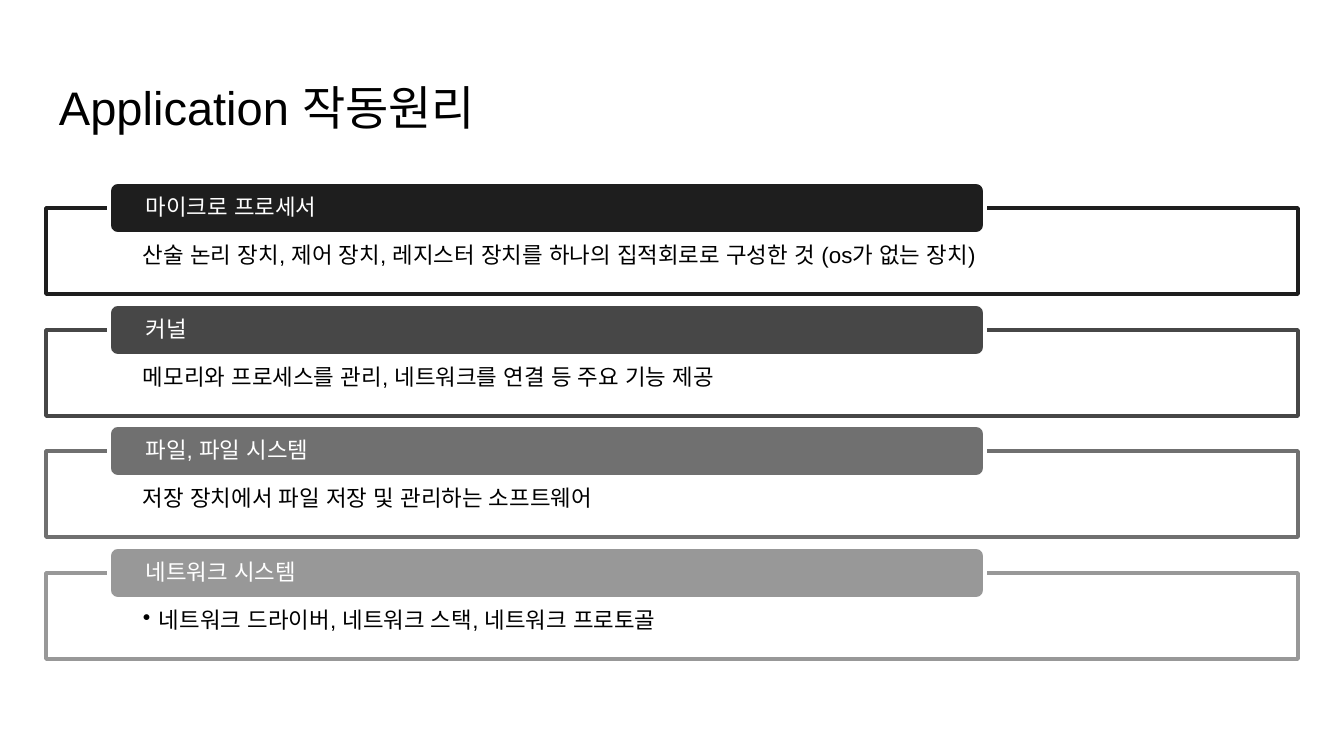
from dataclasses import dataclass

from lxml.etree import SubElement
from pptx import Presentation
from pptx.dml.color import RGBColor
from pptx.enum.shapes import MSO_SHAPE
from pptx.enum.text import MSO_ANCHOR, PP_ALIGN
from pptx.oxml.ns import qn
from pptx.shapes.autoshape import Shape
from pptx.slide import Slide
from pptx.util import Emu, Pt

EMU_PER_PX = 914400 / 134.4


@dataclass(frozen=True)
class Theme:
    font: str = "Arial"
    white: str = "FFFFFF"
    black: str = "000000"
    title_size: float = 25.2
    body_size: float = 12
    line_width: float = 2
    line_spacing: float = 0.9
    frame_opacity: int = 90


@dataclass(frozen=True)
class Box:
    left: int
    top: int
    width: int
    height: int


@dataclass(frozen=True)
class Section:
    heading: str
    detail: str
    color: str
    bulleted: bool = False


THEME = Theme()
TITLE_BOX = Box(46, 66, 1252, 84)
FIRST_FRAME_TOP = 208
LAST_FRAME_TOP = 573
TAB_RISE = 26
BULLET_INDENT = 16
SECTIONS = [
    Section("마이크로 프로세서",
            "산술 논리 장치, 제어 장치, 레지스터 장치를 하나의 집적회로로 구성한 것 (os가 없는 장치)",
            "1E1E1E"),
    Section("커널", "메모리와 프로세스를 관리, 네트워크를 연결 등 주요 기능 제공", "474747"),
    Section("파일, 파일 시스템", "저장 장치에서 파일 저장 및 관리하는 소프트웨어", "707070"),
    Section("네트워크 시스템", "네트워크 드라이버, 네트워크 스택, 네트워크 프로토골",
            "989898", bulleted=True),
]


def px(length: int) -> Emu:
    return Emu(round(length * EMU_PER_PX))


def place(box: Box) -> tuple[Emu, Emu, Emu, Emu]:
    return px(box.left), px(box.top), px(box.width), px(box.height)


def write_text(shape: Shape, text: str, size: float, color: str,
               anchor: MSO_ANCHOR, side: int, top: int, bottom: int) -> None:
    frame = shape.text_frame
    frame.word_wrap = True
    frame.vertical_anchor = anchor
    frame.margin_left = frame.margin_right = px(side)
    frame.margin_top, frame.margin_bottom = px(top), px(bottom)
    frame.text = text
    para = frame.paragraphs[0]
    para.alignment = PP_ALIGN.LEFT
    for span in para.runs:
        span.font.name = THEME.font
        span.font.size = Pt(size)
        span.font.color.rgb = RGBColor.from_string(color)
        SubElement(span.font._element, qn("a:ea"), typeface=THEME.font)


def add_panel(page: Slide, kind: MSO_SHAPE, box: Box, fill: str, line: str) -> Shape:
    panel = page.shapes.add_shape(kind, *place(box))
    panel.shadow.inherit = False
    panel.fill.solid()
    panel.fill.fore_color.rgb = RGBColor.from_string(fill)
    panel.line.color.rgb = RGBColor.from_string(line)
    panel.line.width = Pt(THEME.line_width)
    return panel


def add_bullet(panel: Shape) -> None:
    properties = panel.text_frame.paragraphs[0]._p.get_or_add_pPr()
    properties.set("marL", str(px(BULLET_INDENT)))
    properties.set("indent", str(-px(BULLET_INDENT)))
    SubElement(properties, qn("a:buChar"), char="•")


def draw_section(page: Slide, section: Section, top: int) -> None:
    frame = add_panel(page, MSO_SHAPE.RECTANGLE, Box(46, top, 1252, 86),
                      THEME.white, section.color)
    fill_color = frame._element.spPr.find(qn("a:solidFill"))[0]
    SubElement(fill_color, qn("a:alpha"), val=str(THEME.frame_opacity * 1000))
    write_text(frame, section.detail, THEME.body_size, THEME.black,
               MSO_ANCHOR.TOP, side=97, top=36, bottom=12)
    if section.bulleted:
        add_bullet(frame)

    tab = add_panel(page, MSO_SHAPE.ROUNDED_RECTANGLE,
                    Box(109, top - TAB_RISE, 876, 2 * TAB_RISE),
                    section.color, THEME.white)
    write_text(tab, section.heading, THEME.body_size, THEME.white,
               MSO_ANCHOR.MIDDLE, side=34, top=0, bottom=0)
    for panel in (frame, tab):
        panel.text_frame.paragraphs[0].line_spacing = THEME.line_spacing


def main() -> None:
    deck = Presentation()
    deck.slide_width, deck.slide_height = px(1344), px(756)
    page = deck.slides.add_slide(deck.slide_layouts[6])

    pitch = (LAST_FRAME_TOP - FIRST_FRAME_TOP) / (len(SECTIONS) - 1)
    for index, section in enumerate(SECTIONS):
        draw_section(page, section, FIRST_FRAME_TOP + round(index * pitch))

    title = page.shapes.add_textbox(*place(TITLE_BOX))
    write_text(title, "Application 작동원리", THEME.title_size, THEME.black,
               MSO_ANCHOR.TOP, side=13, top=13, bottom=13)
    deck.save("out.pptx")


if __name__ == "__main__":
    main()
